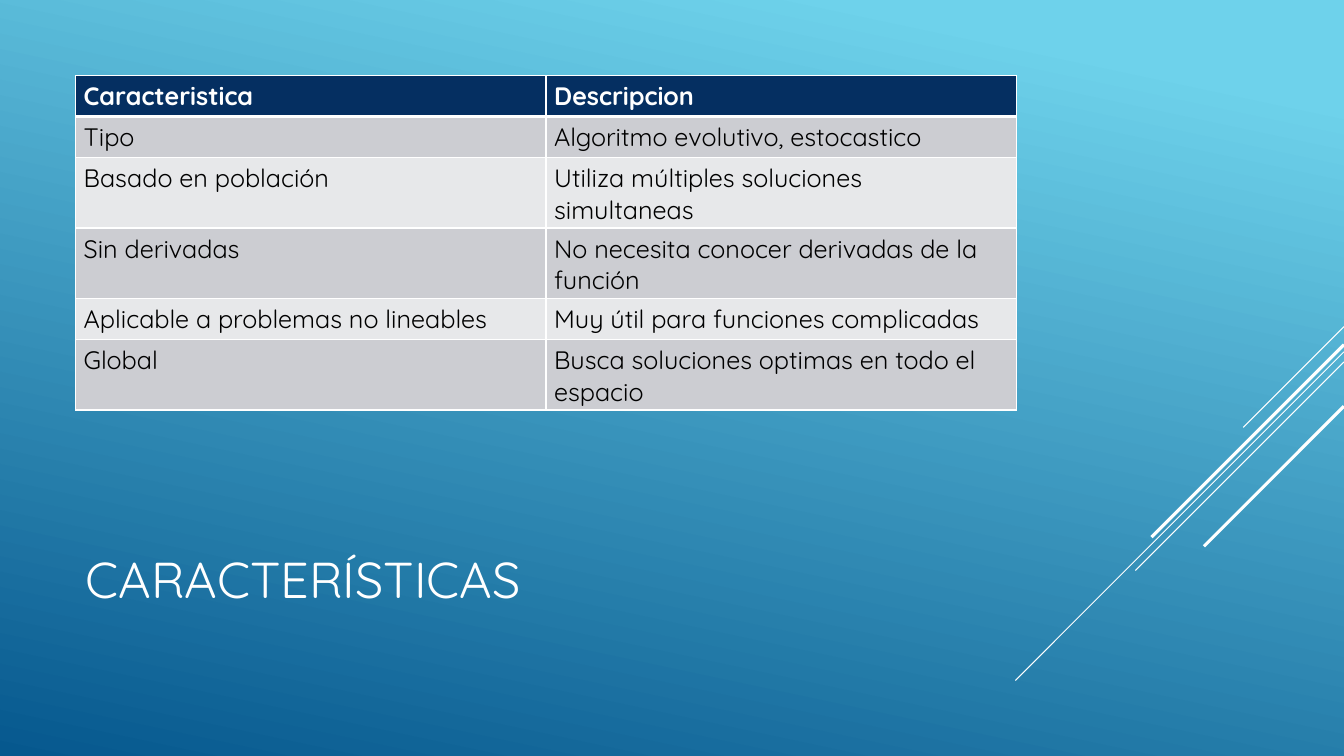
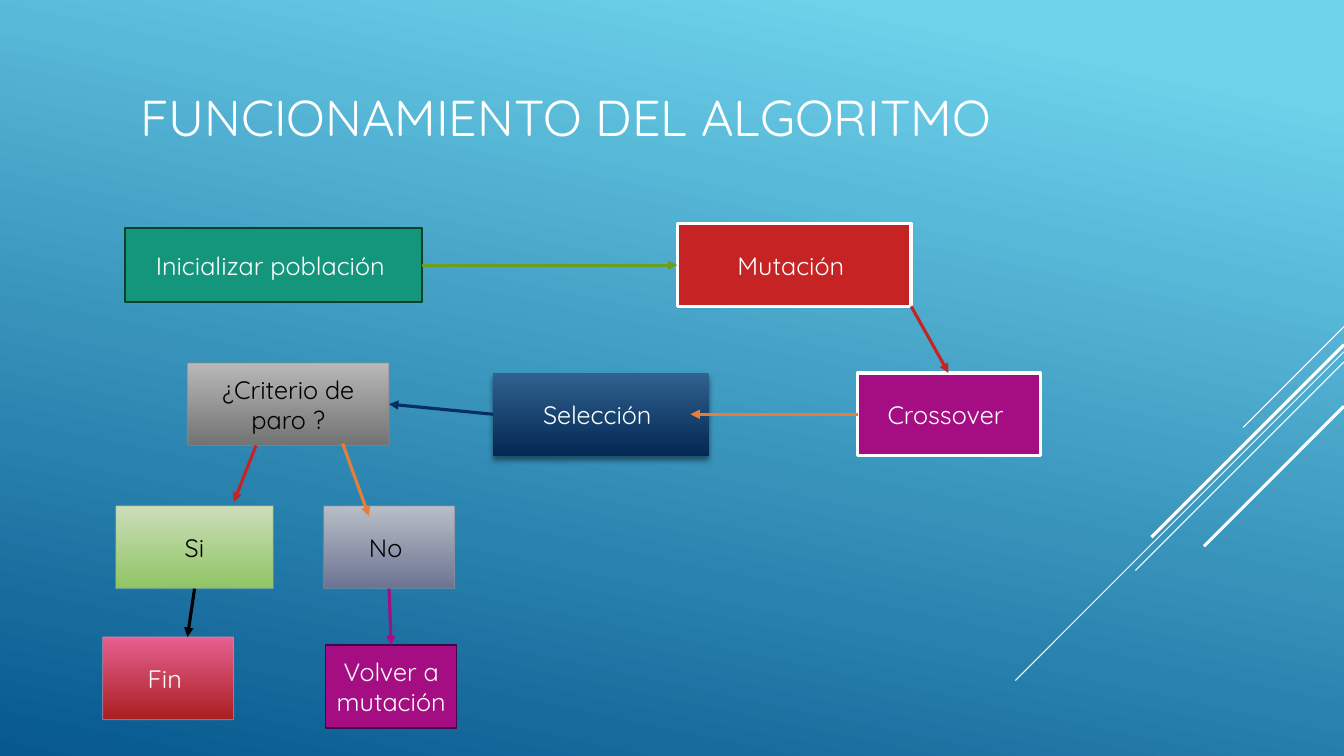
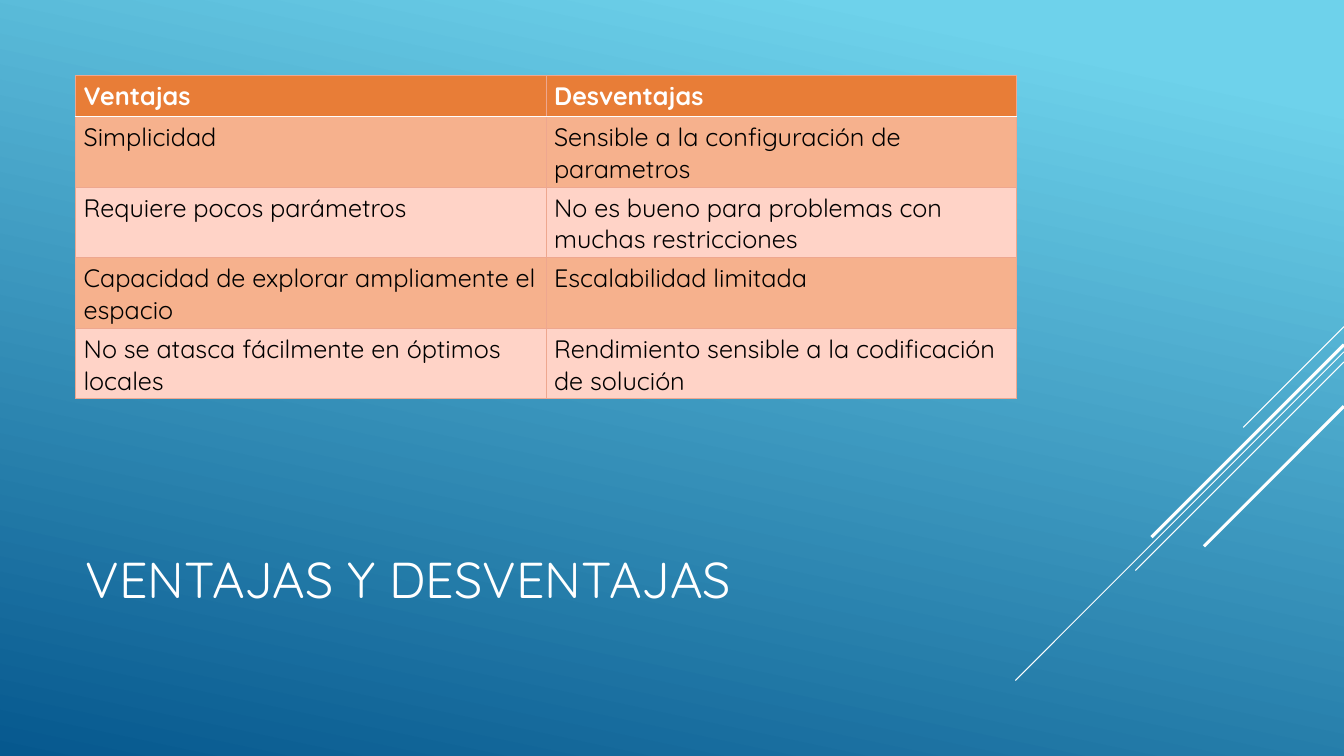
from lxml import etree
from pptx import Presentation
from pptx.dml.color import RGBColor
from pptx.enum import shapes, text
from pptx.oxml.ns import qn
from pptx.util import Pt

FONT = "Quicksand"
WHITE = RGBColor(0xFF, 0xFF, 0xFF)
BLACK = RGBColor(0, 0, 0)
SKY = RGBColor(0x6E, 0xD2, 0xEB)
SEA = RGBColor(0x06, 0x58, 0x8E)
NAVY = RGBColor(0x05, 0x2F, 0x61)
STEEL = RGBColor(0x31, 0x61, 0x90)
DEEP = RGBColor(0x04, 0x28, 0x53)
MIST = RGBColor(0xCC, 0xCD, 0xD2)
PALE = RGBColor(0xE7, 0xE8, 0xEA)
ORANGE = RGBColor(0xE8, 0x7D, 0x37)
PEACH = RGBColor(0xF6, 0xB1, 0x8D)
BLUSH = RGBColor(0xFF, 0xD3, 0xC7)
CORAL = RGBColor(0xEE, 0xA7, 0x8F)
TEAL = RGBColor(0x14, 0x96, 0x7C)
PINE = RGBColor(0x09, 0x42, 0x2C)
RED = RGBColor(0xC6, 0x23, 0x24)
PLUM = RGBColor(0xA5, 0x0E, 0x82)
GRAPE = RGBColor(0x42, 0x06, 0x48)
GREEN = RGBColor(0x6A, 0x9E, 0x1F)
SILVER = RGBColor(0xB8, 0xB8, 0xB8)
IRON = RGBColor(0x73, 0x73, 0x73)
GREY = RGBColor(0x89, 0x89, 0x89)
LIME = RGBColor(0xCC, 0xDD, 0xBA)
LEAF = RGBColor(0x8F, 0xC5, 0x63)
MOSS = RGBColor(0xA4, 0xBB, 0x8B)
CLOUD = RGBColor(0xB8, 0xBE, 0xC6)
SLATE = RGBColor(0x6C, 0x74, 0x93)
STONE = RGBColor(0x89, 0x91, 0x9C)
PINK = RGBColor(0xE6, 0x60, 0x91)
BRICK = RGBColor(0xAA, 0x1E, 0x1F)
ROSE = RGBColor(0xD6, 0x8B, 0xA6)


def write(frame, words, size=18, color=WHITE, bold=False, align=text.PP_ALIGN.LEFT):
    frame.word_wrap = True
    par = frame.paragraphs[0]
    par.alignment = align
    run = par.add_run()
    run.text = words
    run.font.name = FONT
    run.font.size = Pt(size)
    run.font.bold = bold
    run.font.color.rgb = color


def draw(slide, ends, color, width, arrow=False):
    line = slide.shapes.add_connector(
        shapes.MSO_CONNECTOR.STRAIGHT, *[Pt(end) for end in ends])
    line.line.color.rgb = color
    line.line.width = Pt(width)
    props = line._element.spPr
    if arrow:
        etree.SubElement(props.find(qn("a:ln")), qn("a:tailEnd"), type="triangle")
    etree.SubElement(props, qn("a:effectLst"))


deck = Presentation()
deck.slide_width, deck.slide_height = Pt(960), Pt(540)

titles = [
    ("CARACTERÍSTICAS", 54, 353.5),
    ("FUNCIONAMIENTO DEL ALGORITMO", 93, 24),
    ("VENTAJAS Y DESVENTAJAS", 54, 353.5),
]
rays = [(233.3, 72, 0.75), (251.3, 234.7, 0.75), (258.5, 149, 0.75),
        (246.2, 137.5, 2.25), (290.2, 100, 2.25)]

for title, left, top in titles:
    slide = deck.slides.add_slide(deck.slide_layouts[6])
    fill = slide.background.fill
    fill.gradient()
    fill.gradient_angle = 258
    for stop, spot, color in zip(fill.gradient_stops, (0.1, 1), (SKY, SEA)):
        stop.position = spot
        stop.color.rgb = color
    for start, drop, width in rays:
        draw(slide, (960, start, 960 - drop, start + drop), WHITE, width)
    box = slide.shapes.add_textbox(Pt(left), Pt(top), Pt(672), Pt(118.8))
    box.text_frame.vertical_anchor = text.MSO_ANCHOR.MIDDLE
    write(box.text_frame, title, size=36)

traits = [
    ("Caracteristica", "Descripcion"),
    ("Tipo", "Algoritmo evolutivo, estocastico"),
    ("Basado en población", "Utiliza múltiples soluciones simultaneas"),
    ("Sin derivadas", "No necesita conocer derivadas de la función"),
    ("Aplicable a problemas no lineables", "Muy útil para funciones complicadas"),
    ("Global", "Busca soluciones optimas en todo el espacio"),
]
merits = [
    ("Ventajas", "Desventajas"),
    ("Simplicidad", "Sensible a la configuración de parametros"),
    ("Requiere pocos parámetros", "No es bueno para problemas con muchas restricciones"),
    ("Capacidad de explorar ampliamente el espacio", "Escalabilidad limitada"),
    ("No se atasca fácilmente en óptimos locales",
     "Rendimiento sensible a la codificación de solución"),
]
grids = [
    (0, traits, NAVY, (PALE, MIST), (WHITE, 1, 100), (WHITE, 3, 100)),
    (2, merits, ORANGE, (BLUSH, PEACH), (CORAL, 0.75, 60), (WHITE, 1.25, 100)),
]

for page, rows, head, bands, thin, thick in grids:
    grid = deck.slides[page].shapes.add_table(
        len(rows), 2, Pt(54), Pt(54), Pt(672), Pt(29.2 * len(rows))).table
    grid.first_row = grid.horz_banding = False
    for r, row in enumerate(rows):
        for c, words in enumerate(row):
            cell = grid.cell(r, c)
            cell.margin_left = cell.margin_right = Pt(5.8)
            cell.margin_top = cell.margin_bottom = Pt(3.6)
            write(cell.text_frame, words, color=BLACK if r else WHITE, bold=r == 0)
            edges = {"L": thin, "R": thin, "T": thick if r == 1 else thin,
                     "B": thin if r else thick}
            for side, (color, width, alpha) in edges.items():
                edge = etree.SubElement(cell._tc.get_or_add_tcPr(),
                                        qn("a:ln" + side), w=str(Pt(width)))
                paint = etree.SubElement(edge, qn("a:solidFill"))
                tint = etree.SubElement(paint, qn("a:srgbClr"), val=str(color))
                etree.SubElement(tint, qn("a:alpha"), val=str(alpha * 1000))
            cell.fill.solid()
            cell.fill.fore_color.rgb = bands[r % 2] if r else head

flow = deck.slides[1]
steps = [
    ("Inicializar población ", 89.3, 162.7, 212.4, 53.3, [TEAL], PINE, 1.25, WHITE),
    ("Crossover ", 612.7, 266.4, 130.3, 59, [PLUM], WHITE, 2.25, WHITE),
    ("Mutación ", 483.8, 159.8, 167, 59, [RED], WHITE, 2.25, WHITE),
    ("Selección ", 352.1, 266.4, 154.1, 59, [STEEL, DEEP], None, 0, WHITE),
    ("¿Criterio de paro ?", 133.9, 259.2, 144, 59, [SILVER, IRON], GREY, 0.75, BLACK),
    ("Si", 82.8, 361.4, 112.3, 59, [LIME, LEAF], MOSS, 0.75, BLACK),
    ("No ", 231.1, 361.4, 93.6, 59, [CLOUD, SLATE], STONE, 0.75, BLACK),
    ("Fin ", 73.4, 455, 93.6, 59, [PINK, BRICK], ROSE, 0.75, WHITE),
    ("Volver a mutación ", 232.6, 460.8, 93.6, 59, [PLUM], GRAPE, 1.25, WHITE),
]
for words, left, top, wide, high, paints, rim, width, ink in steps:
    step = flow.shapes.add_shape(
        shapes.MSO_SHAPE.RECTANGLE, Pt(left), Pt(top), Pt(wide), Pt(high))
    step.shadow.inherit = False
    if len(paints) == 1:
        step.fill.solid()
        step.fill.fore_color.rgb = paints[0]
    else:
        step.fill.gradient()
        step.fill.gradient_angle = 270
        for stop, spot, color in zip(step.fill.gradient_stops, (0, 1), paints):
            stop.position = spot
            stop.color.rgb = color
    props = step._element.spPr
    if rim is None:
        step.line.fill.background()
        shade = etree.SubElement(
            props.find(qn("a:effectLst")), qn("a:outerShdw"), blurRad=str(Pt(4)),
            dist=str(Pt(3)), dir="5400000", algn="ctr", rotWithShape="0")
        tint = etree.SubElement(shade, qn("a:srgbClr"), val=str(BLACK))
        etree.SubElement(tint, qn("a:alpha"), val="46000")
    else:
        step.line.color.rgb = rim
        step.line.width = Pt(width)
        if len(paints) == 2:
            tint = props.find(qn("a:ln")).find(".//" + qn("a:srgbClr"))
            etree.SubElement(tint, qn("a:alpha"), val="60000")
    step.text_frame.vertical_anchor = text.MSO_ANCHOR.MIDDLE
    write(step.text_frame, words, color=ink, align=text.PP_ALIGN.CENTER)

arrows = [
    (301.7, 189.4, 483.8, 189.4, GREEN),
    (650.9, 218.9, 677.5, 266.4, RED),
    (612.7, 295.9, 493.2, 295.9, ORANGE),
    (352.1, 295.9, 277.9, 288.7, NAVY),
    (182.9, 318.2, 167, 358.6, RED),
    (244.8, 316.8, 263.5, 368.6, ORANGE),
    (277.9, 420.5, 279.4, 460.8, PLUM),
    (139, 420.5, 133.9, 455, BLACK),
]
for *ends, color in arrows:
    draw(flow, ends, color, 2.25, arrow=True)

deck.save("out.pptx")
